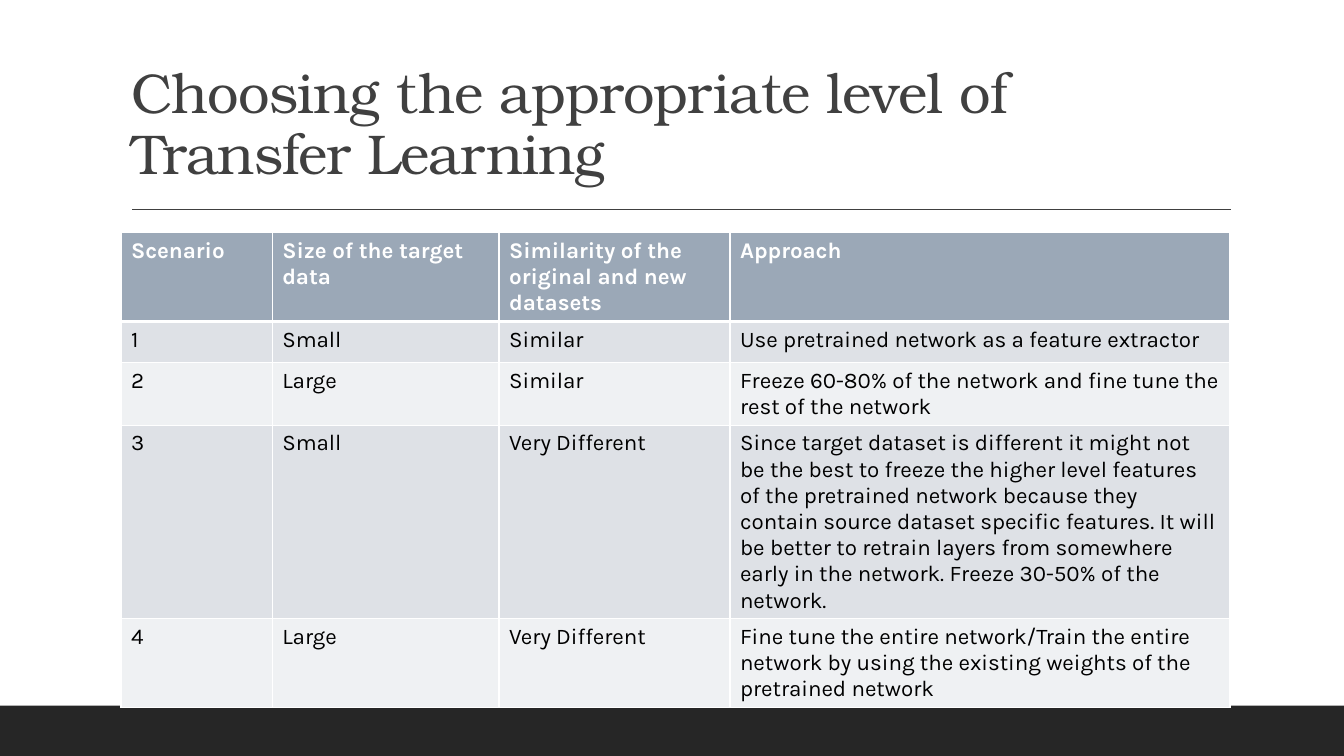
from dataclasses import dataclass

from lxml.etree import SubElement
from pptx import Presentation
from pptx.dml.color import RGBColor
from pptx.enum.shapes import MSO_CONNECTOR, MSO_SHAPE
from pptx.enum.text import MSO_ANCHOR, PP_ALIGN
from pptx.oxml.ns import qn
from pptx.util import Inches, Pt


@dataclass(frozen=True)
class Theme:
    title_font: str = "TeX Gyre Bonum"
    body_font: str = "Karla"
    title_size: int = 40
    body_size: int = 16
    title: str = "404040"
    footer: str = "262626"
    header: str = "9BA8B7"
    bands: tuple = ("DEE1E6", "EFF1F3")
    text: str = "000000"
    white: str = "FFFFFF"


THEME = Theme()
TITLE = "Choosing the appropriate level of Transfer Learning"
COLUMN_WIDTHS = (1.5, 2.25, 2.29, 4.96)
ROW_HEIGHT = 0.41
SCENARIOS = [
    ("Scenario", "Size of the target data",
     "Similarity of the original and new datasets", "Approach"),
    ("1", "Small", "Similar", "Use pretrained network as a feature extractor"),
    ("2", "Large", "Similar",
     "Freeze 60-80% of the network and fine tune the rest of the network"),
    ("3", "Small", "Very Different",
     "Since target dataset is different it might not be the best to freeze the "
     "higher level features of the pretrained network because they contain source "
     "dataset specific features. It will be better to retrain layers from somewhere "
     "early in the network. Freeze 30-50% of the network."),
    ("4", "Large", "Very Different",
     "Fine tune the entire network/Train the entire network by using the existing "
     "weights of the pretrained network"),
]


def style_run(run, name, size, color, bold=False):
    run.font.name = name
    run.font.size = Pt(size)
    run.font.bold = bold
    run.font.color.rgb = RGBColor.from_string(color)


def set_borders(cell, bottom_width):
    properties = cell._tc.get_or_add_tcPr()
    for side, width in (("L", 1), ("R", 1), ("T", 1), ("B", bottom_width)):
        line = SubElement(properties, qn(f"a:ln{side}"), w=str(Pt(width)))
        fill = SubElement(line, qn("a:solidFill"))
        SubElement(fill, qn("a:srgbClr"), val=THEME.white)


def add_footer_band(slide, left, top, width, height):
    band = slide.shapes.add_shape(MSO_SHAPE.RECTANGLE, Inches(left), Inches(top),
                                  Inches(width), Inches(height))
    band.shadow.inherit = False
    band.fill.solid()
    band.fill.fore_color.rgb = RGBColor.from_string(THEME.footer)
    band.line.fill.background()


def add_title(slide, left, top, width, height):
    title = slide.shapes.title
    title.left, title.top = Inches(left), Inches(top)
    title.width, title.height = Inches(width), Inches(height)
    frame = title.text_frame
    frame.text = TITLE
    frame.word_wrap = True
    frame.vertical_anchor = MSO_ANCHOR.BOTTOM
    paragraph = frame.paragraphs[0]
    paragraph.alignment = PP_ALIGN.LEFT
    paragraph.line_spacing = 0.9
    run = paragraph.runs[0]
    style_run(run, THEME.title_font, THEME.title_size, THEME.title)
    run.font._element.set("spc", "-50")

    # Rule under the title, from the text edge past the right side
    rule_top = Inches(top + height + 0.18)
    rule = slide.shapes.add_connector(
        MSO_CONNECTOR.STRAIGHT, Inches(left + 0.11), rule_top,
        Inches(left + width + 0.01), rule_top)
    rule.line.color.rgb = RGBColor.from_string(THEME.title)
    rule.line.width = Pt(1)
    SubElement(rule._element.spPr, qn("a:effectLst"))


def add_scenario_table(slide, left, top, width, height):
    frame = slide.shapes.add_table(
        len(SCENARIOS), len(COLUMN_WIDTHS), Inches(left), Inches(top),
        Inches(width), Inches(ROW_HEIGHT * len(SCENARIOS)))
    table = frame.table
    for column, column_width in zip(table.columns, COLUMN_WIDTHS):
        column.width = Inches(column_width)
    for row_index, (row, texts) in enumerate(zip(table.rows, SCENARIOS)):
        is_header = row_index == 0
        background = THEME.header if is_header else THEME.bands[(row_index - 1) % 2]
        color = THEME.white if is_header else THEME.text
        row.height = Inches(ROW_HEIGHT)
        for cell, text in zip(row.cells, texts):
            set_borders(cell, 3 if is_header else 1)
            cell.fill.solid()
            cell.fill.fore_color.rgb = RGBColor.from_string(background)
            cell.text_frame.text = text
            style_run(cell.text_frame.paragraphs[0].runs[0], THEME.body_font,
                      THEME.body_size, color, is_header)
    frame.height = Inches(height)


def main():
    presentation = Presentation()
    presentation.slide_width = Inches(13.33)
    presentation.slide_height = Inches(7.5)
    slide = presentation.slides.add_slide(presentation.slide_layouts[5])
    add_footer_band(slide, 0, 7, 13.33, 0.5)
    add_title(slide, 1.2, 0.31, 11, 1.59)
    add_scenario_table(slide, 1.2, 2.31, 11, 4.54)
    presentation.save("out.pptx")


if __name__ == "__main__":
    main()
